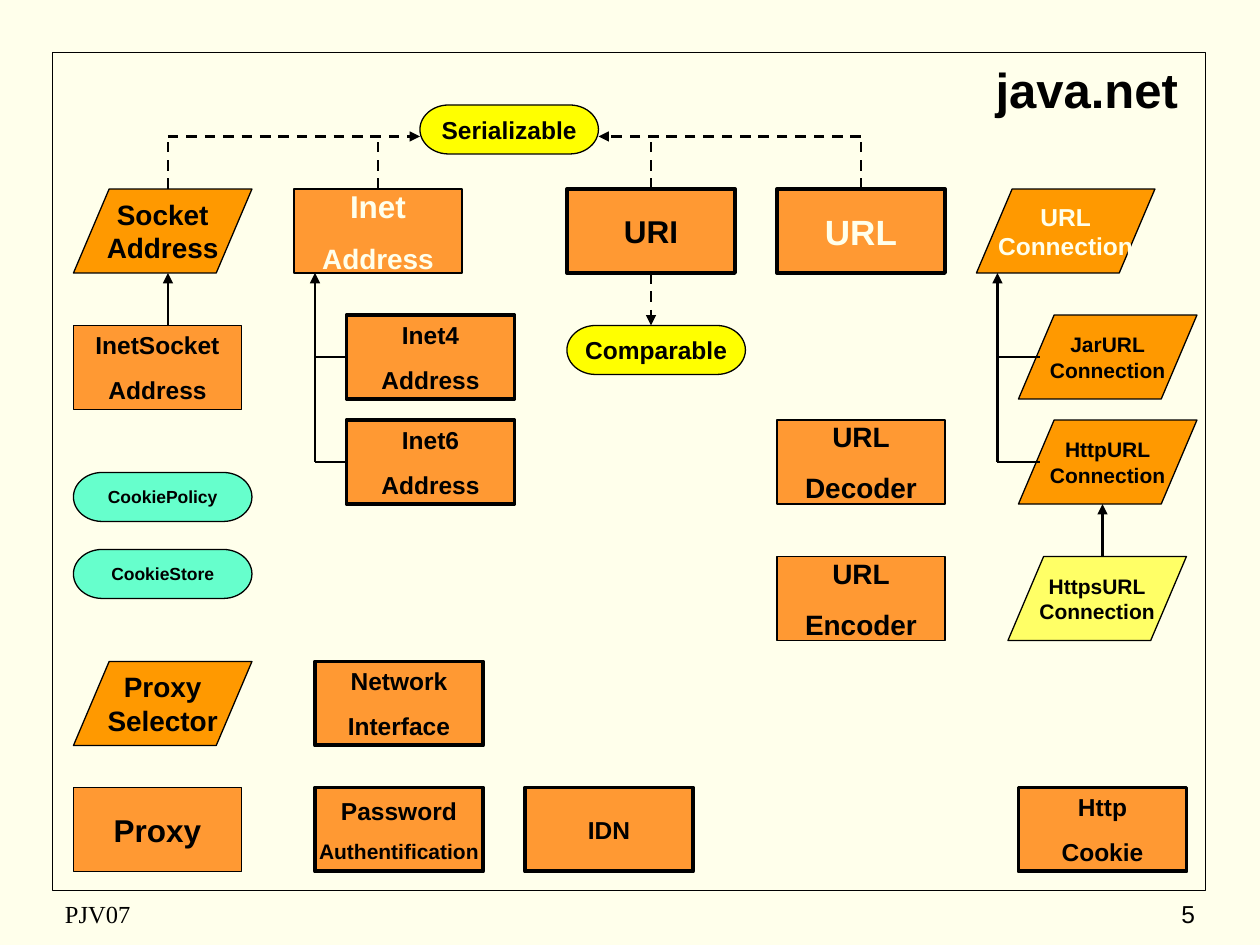
from lxml.etree import SubElement
from pptx import Presentation
from pptx.dml.color import RGBColor
from pptx.enum.dml import MSO_LINE
from pptx.enum.shapes import MSO_CONNECTOR, MSO_SHAPE
from pptx.enum.text import MSO_ANCHOR, MSO_AUTO_SIZE, PP_ALIGN
from pptx.oxml.ns import qn
from pptx.util import Pt

CREAM = RGBColor(0xFF, 0xFF, 0xEB)
BLACK = RGBColor(0, 0, 0)
ORANGE = RGBColor(0xFF, 0x99, 0x33)
AMBER = RGBColor(0xFF, 0x99, 0x00)
YELLOW = RGBColor(0xFF, 0xFF, 0x00)
LEMON = RGBColor(0xFF, 0xFF, 0x66)
MINT = RGBColor(0x66, 0xFF, 0xCC)

# Kind: preset, width, height, gap before later lines as a share of text size
RECT = (MSO_SHAPE.RECTANGLE, 96, 48, 0.625)
SLANT = (MSO_SHAPE.FLOWCHART_DATA, 102, 48, 0)
PILL = (MSO_SHAPE.FLOWCHART_TERMINATOR, 102, 28, 0)

# Style: kind, fill, border width, text colour
FINAL = (RECT, ORANGE, 2.25, BLACK)
FINAL_PALE = (RECT, ORANGE, 2.25, CREAM)
CLASS = (RECT, ORANGE, 1, BLACK)
CLASS_PALE = (RECT, ORANGE, 1, CREAM)
BASE = (SLANT, AMBER, 0.75, BLACK)
BASE_PALE = (SLANT, AMBER, 0.75, CREAM)
SECURE = (SLANT, LEMON, 0.75, BLACK)
FACE = (PILL, YELLOW, 0.75, BLACK)
COOKIE = (PILL, MINT, 0.75, BLACK)

# Boxes: text lines, left, top, style, text size of each line
BOXES = [
    ("Serializable", 240, 60, FACE, [14]),
    ("Comparable", 324, 186, FACE, [14]),
    ("Socket\nAddress", 42, 108, BASE, [16, 16]),
    ("Inet\nAddress", 168, 108, CLASS_PALE, [18, 16]),
    ("URI", 324, 108, FINAL, [18]),
    ("URL", 444, 108, FINAL_PALE, [20]),
    ("URL\nConnection", 558, 108, BASE_PALE, [14, 14]),
    ("InetSocket\nAddress", 42, 186, CLASS, [14, 14]),
    ("Inet4\nAddress", 198, 180, FINAL, [14, 14]),
    ("Inet6\nAddress", 198, 240, FINAL, [14, 14]),
    ("JarURL\nConnection", 582, 180, BASE, [12, 12]),
    ("HttpURL\nConnection", 582, 240, BASE, [12, 12]),
    ("HttpsURL\nConnection", 576, 318, SECURE, [12, 12]),
    ("CookiePolicy", 42, 270, COOKIE, [10]),
    ("CookieStore", 42, 314, COOKIE, [10]),
    ("URL\nDecoder", 444, 240, CLASS, [16, 16]),
    ("URL\nEncoder", 444, 318, CLASS, [16, 16]),
    ("Proxy\nSelector", 42, 378, BASE, [16, 16]),
    ("Network\nInterface", 180, 378, FINAL, [14, 14]),
    ("Proxy", 42, 450, CLASS, [18]),
    ("Password\nAuthentification", 180, 450, FINAL, [14, 12]),
    ("IDN", 300, 450, FINAL, [14]),
    ("Http\nCookie", 582, 450, FINAL, [14, 14]),
]

# Lines: start point or (box, side), end point, dashed, arrow at the end
TOP, LEFT, BOTTOM = 0, 1, 2
LINES = [
    ((96, 108), (96, 78), True, False),
    (("Inet\nAddress", TOP), (216, 78), True, False),
    (("URI", TOP), (372, 78), True, False),
    (("URL", TOP), (492, 78), True, False),
    ((96, 78), (240, 78), True, True),
    ((492, 78), (342, 78), True, True),
    (("URI", BOTTOM), (372, 186), True, True),
    ((96, 186), (96, 156), False, True),
    ((180, 264), (180, 156), False, True),
    (("Inet4\nAddress", LEFT), (180, 204), False, False),
    (("Inet6\nAddress", LEFT), (180, 264), False, False),
    ((570, 264), (570, 156), False, True),
    ((594, 204), (570, 204), False, False),
    ((594, 264), (570, 264), False, False),
    ((630, 318), (630, 288), False, True),
]

# Footer: text, left, width, font, alignment
FOOT = [
    ("PJV07", 30, 228, "Times New Roman", PP_ALIGN.LEFT),
    ("5", 540, 150, "Arial", PP_ALIGN.RIGHT),
]


def write(shape, text, sizes, font="Arial", color=BLACK, bold=True,
          align=PP_ALIGN.CENTER, gap=0, wrap=False):
    frame = shape.text_frame
    frame.text = text
    frame.word_wrap = wrap
    frame.auto_size = MSO_AUTO_SIZE.NONE
    frame.vertical_anchor = MSO_ANCHOR.MIDDLE
    for i, (para, size) in enumerate(zip(frame.paragraphs, sizes)):
        para.alignment = align
        para.space_before = Pt(gap * size if i else 0)
        para.font.name = font
        para.font.size = Pt(size)
        para.font.bold = bold
        para.font.color.rgb = color


def draw_box(slide, kind, left, top, wide, high, width):
    box = slide.shapes.add_shape(kind, Pt(left), Pt(top), Pt(wide), Pt(high))
    box.shadow.inherit = False
    box.line.color.rgb = BLACK
    box.line.width = Pt(width)
    return box


def draw_line(slide, boxes, start, end, dash, arrow):
    joined = start[0] in boxes
    first = end if joined else start
    line = slide.shapes.add_connector(
        MSO_CONNECTOR.STRAIGHT, *(Pt(n) for n in first + end))
    if joined:
        line.begin_connect(boxes[start[0]], start[1])
    line.line.color.rgb = BLACK
    line.line.width = Pt(1.5)
    if dash:
        line.line.dash_style = MSO_LINE.DASH
    if arrow:
        SubElement(line.line._get_or_add_ln(), qn("a:tailEnd"), type="triangle")
    SubElement(line._element.spPr, qn("a:effectLst"))


def main():
    deck = Presentation()
    deck.slide_width, deck.slide_height = Pt(720), Pt(540)
    slide = deck.slides.add_slide(deck.slide_layouts[5])
    slide.background.fill.solid()
    slide.background.fill.fore_color.rgb = CREAM

    # Frame and title
    draw_box(slide, MSO_SHAPE.RECTANGLE, 30, 30, 659, 479, 1).fill.background()
    title = slide.shapes.title
    title.left, title.top, title.width, title.height = (
        Pt(n) for n in (522, 30, 198, 42))
    write(title, "java.net", [28], wrap=True)

    # Classes and interfaces
    boxes = {}
    for text, left, top, (kind, fill, width, color), sizes in BOXES:
        preset, wide, high, gap = kind
        box = draw_box(slide, preset, left, top, wide, high, width)
        box.fill.solid()
        box.fill.fore_color.rgb = fill
        write(box, text, sizes, color=color, gap=gap)
        boxes[text] = box

    # Inheritance lines
    for line in LINES:
        draw_line(slide, boxes, *line)

    # Footer
    for text, left, wide, font, align in FOOT:
        box = slide.shapes.add_textbox(Pt(left), Pt(510), Pt(wide), Pt(24))
        write(box, text, [14], font=font, bold=False, align=align, wrap=True)

    deck.save("out.pptx")


if __name__ == "__main__":
    main()
